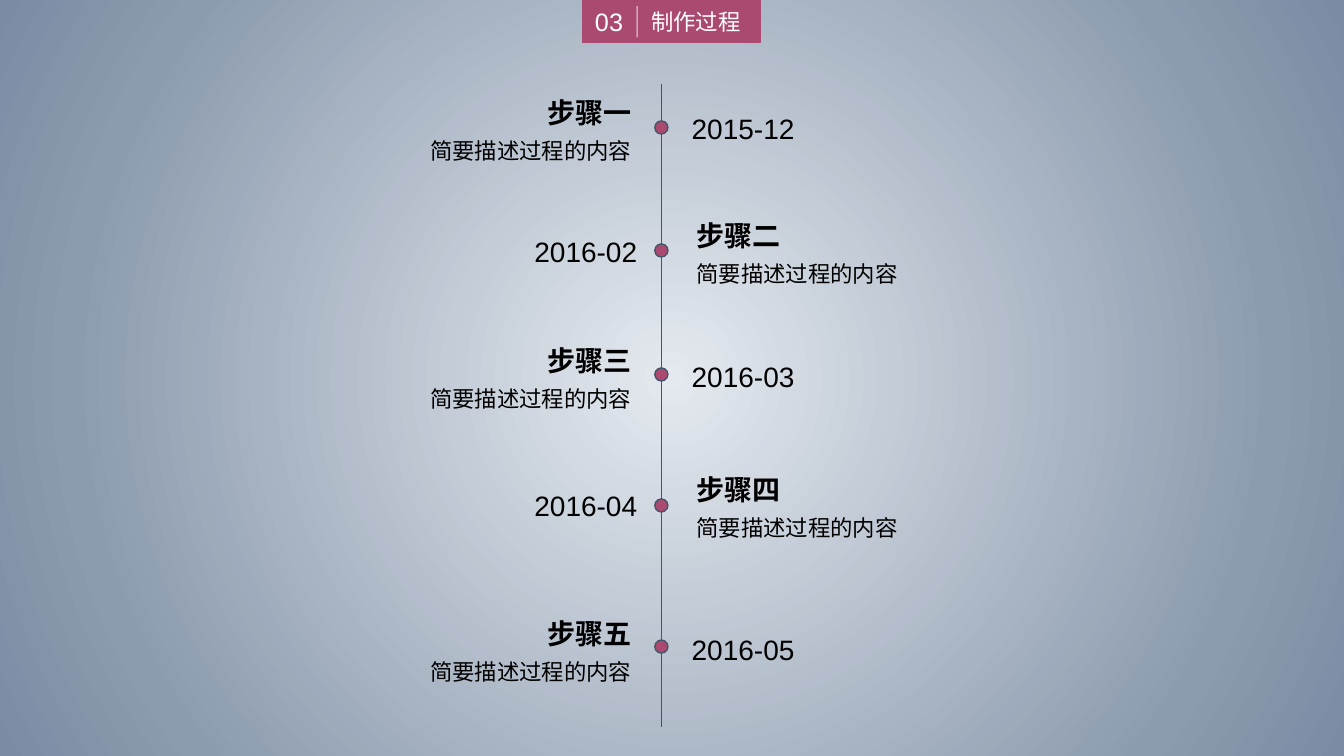
from lxml.etree import SubElement
from pptx import Presentation
from pptx.dml.color import RGBColor
from pptx.enum.shapes import MSO_CONNECTOR, MSO_SHAPE
from pptx.enum.text import MSO_ANCHOR, MSO_AUTO_SIZE, PP_ALIGN
from pptx.oxml.ns import qn
from pptx.util import Inches, Pt

SECTION, HEADING = "03", "制作过程"
DETAIL = "简要描述过程的内容"
# name, date, top of the step, top of its dot
STEPS = [
    ("步骤一", "2015-12", 0.90, 1.20),
    ("步骤二", "2016-02", 2.12, 2.42),
    ("步骤三", "2016-03", 3.36, 3.65),
    ("步骤四", "2016-04", 4.64, 4.95),
    ("步骤五", "2016-05", 6.07, 6.35),
]
BACKDROP = [(0, "E4E9EF"), (78, "8C9BAE"), (100, "7B8BA4")]

FONT = "Arial"
ROSE = RGBColor(0xAB, 0x4A, 0x70)
SLATE = RGBColor(0x44, 0x54, 0x6A)
WHITE = RGBColor(0xFF, 0xFF, 0xFF)
BLACK = RGBColor(0, 0, 0)

WIDTH, HEIGHT = 13.33, 7.5
AXIS = 6.56
DOT = 0.13
NAME_SIZE, DETAIL_SIZE, DATE_SIZE = (1.04, 0.44), (2.22, 0.45), (1.31, 0.44)
DETAIL_DROP, DATE_DROP = 0.33, 0.16
LEFT_EDGE, RIGHT_EDGE = 6.36, 6.81
DATE_LEFT, DATE_RIGHT = 5.11, 6.67


def inches(*lengths):
    """Convert lengths to slide units."""
    return [Inches(length) for length in lengths]


def format_text(box, text, size, color=BLACK, align=PP_ALIGN.LEFT, bold=False,
                spacing=None, wrap=False, anchor=MSO_ANCHOR.TOP):
    """Fill a box with one formatted paragraph."""
    frame = box.text_frame
    frame.text = text
    frame.word_wrap = wrap
    frame.auto_size = MSO_AUTO_SIZE.NONE
    frame.vertical_anchor = anchor
    para = frame.paragraphs[0]
    para.alignment = align
    para.line_spacing = spacing
    font = para.runs[0].font
    font.name, font.size, font.bold = FONT, Pt(size), bold
    font.color.rgb = color


def add_block(shapes, kind, at, line_color):
    """Add a rose preset shape with a thin outline."""
    block = shapes.add_shape(kind, *inches(*at))
    block.shadow.inherit = False
    block.fill.solid()
    block.fill.fore_color.rgb = ROSE
    block.line.color.rgb = line_color
    block.line.width = Pt(1)


def add_rule(shapes, x, top, bottom, color, opacity=100):
    """Add a vertical line, optionally translucent."""
    rule = shapes.add_connector(MSO_CONNECTOR.STRAIGHT, *inches(x, top, x, bottom))
    rule.line.color.rgb = color
    rule.line.width = Pt(1)
    properties = rule._element.spPr
    SubElement(properties, qn("a:effectLst"))
    if opacity < 100:
        paint = properties.find(".//" + qn("a:srgbClr"))
        SubElement(paint, qn("a:alpha"), val=str(opacity * 1000))


def paint_backdrop(page):
    """Give the page a gradient that spreads from its centre."""
    page.background.fill.gradient()
    gradient = page._element.find(".//" + qn("a:gradFill"))
    for child in list(gradient):
        gradient.remove(child)
    stops = SubElement(gradient, qn("a:gsLst"))
    for share, color in BACKDROP:
        stop = SubElement(stops, qn("a:gs"), pos=str(share * 1000))
        SubElement(stop, qn("a:srgbClr"), val=color)
    spread = SubElement(gradient, qn("a:path"), {"path": "circle"})
    SubElement(spread, qn("a:fillToRect"), dict.fromkeys("ltrb", "50000"))


def add_header(page):
    """Add the section badge with its number and the page title."""
    add_block(page.shapes, MSO_SHAPE.RECTANGLE, (5.78, 0, 1.76, 0.42), ROSE)
    number = page.shapes.add_textbox(*inches(5.78, 0.01, 0.52, 0.4))
    format_text(number, SECTION, 18, WHITE, PP_ALIGN.CENTER, wrap=True,
                anchor=MSO_ANCHOR.MIDDLE)
    add_rule(page.shapes, 6.32, 0.06, 0.37, WHITE, opacity=49)
    title = page.shapes.title
    title.left, title.top, title.width, title.height = inches(6.36, 0.03, 1.18, 0.37)
    format_text(title, HEADING, 16, WHITE, wrap=True, spacing=1.0,
                anchor=MSO_ANCHOR.MIDDLE)
    page.shapes._spTree.append(title._element)  # bring in front of the badge


def add_step(page, index, name, date, top, dot_top):
    """Add one step, its text left of the axis for even indexes, else right."""
    shapes = page.shapes.add_group_shape().shapes
    on_left = index % 2 == 0
    add_block(shapes, MSO_SHAPE.OVAL, (AXIS - DOT / 2, dot_top, DOT, DOT), SLATE)
    align = PP_ALIGN.RIGHT if on_left else PP_ALIGN.LEFT
    for text, size, drop, points, bold, spacing in (
            (name, NAME_SIZE, 0, 20, True, None),
            (DETAIL, DETAIL_SIZE, DETAIL_DROP, 16, False, 1.3)):
        left = LEFT_EDGE - size[0] if on_left else RIGHT_EDGE
        box = shapes.add_textbox(*inches(left, top + drop, *size))
        format_text(box, text, points, align=align, bold=bold, spacing=spacing)
    date_left = DATE_RIGHT if on_left else DATE_LEFT
    box = shapes.add_textbox(*inches(date_left, top + DATE_DROP, *DATE_SIZE))
    format_text(box, date, 20, align=PP_ALIGN.RIGHT)


deck = Presentation()
deck.slide_width, deck.slide_height = inches(WIDTH, HEIGHT)
page = deck.slides.add_slide(deck.slide_layouts.get_by_name("Title Only"))
paint_backdrop(page)
add_header(page)
add_rule(page.shapes, AXIS, 0.83, 7.21, SLATE)
for index, step in enumerate(STEPS):
    add_step(page, index, *step)
deck.save("out.pptx")
